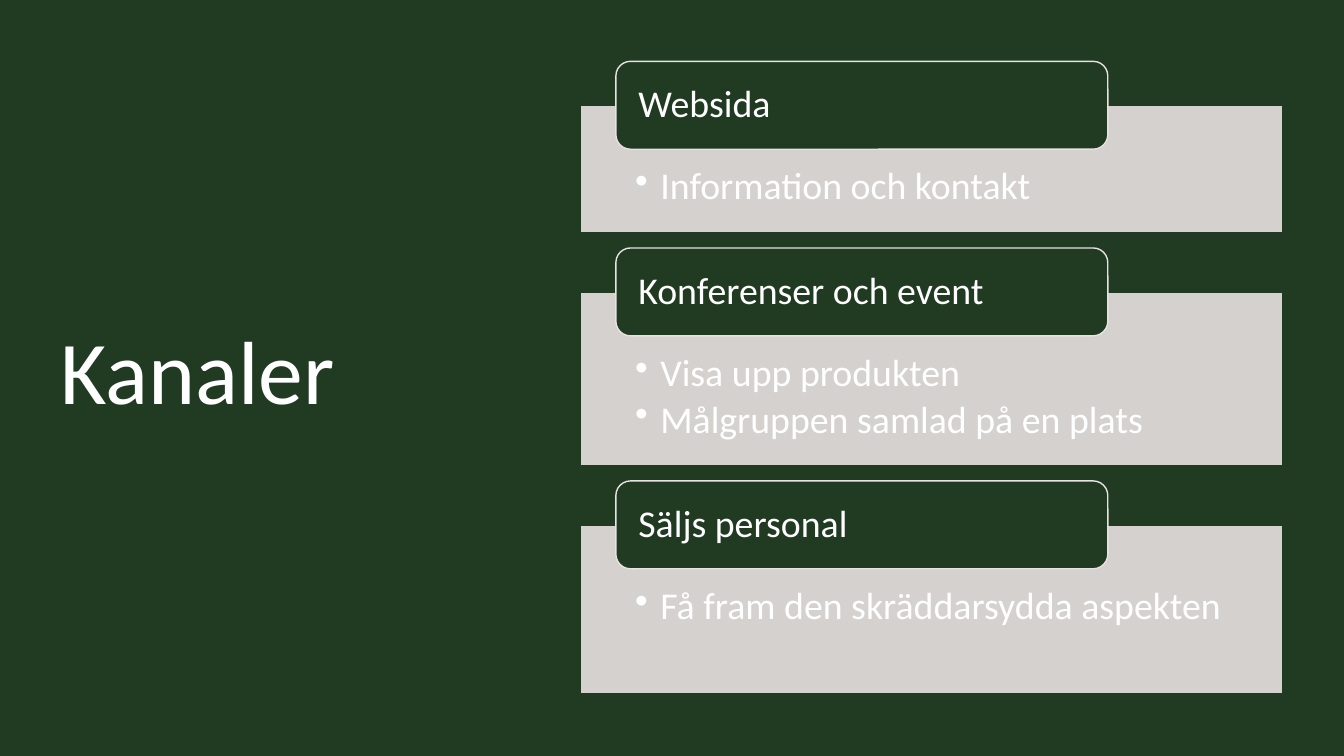
from lxml import etree
from pptx import Presentation
from pptx.dml.color import RGBColor
from pptx.enum.shapes import MSO_SHAPE as SHAPE
from pptx.enum.text import MSO_ANCHOR as ANCHOR, MSO_AUTO_SIZE as AUTO, PP_ALIGN as ALIGN
from pptx.oxml.ns import qn
from pptx.util import Pt

TITLE = "Kanaler"
CHANNELS = [  # label, panel height, bullets
    ("Websida", 90.7, ["Information och kontakt"]),
    ("Konferenser och event", 123.8, ["Visa upp produkten", "Målgruppen samlad på en plats"]),
    ("Säljs personal", 120.2, ["Få fram den skräddarsydda aspekten"]),
]

GREEN = RGBColor(0x21, 0x3A, 0x22)
SAND = RGBColor(0xE8, 0xE2, 0xE2)
WHITE = RGBColor(0xFF, 0xFF, 0xFF)

PANEL_LEFT, PANEL_TOP, PANEL_WIDTH, PANEL_GAP = 414.8, 75.6, 501.6, 42.6
LABEL_LEFT, LABEL_RISE, LABEL_WIDTH, LABEL_HEIGHT = 439.9, 31.8, 351.4, 62.8


def add_box(slide, kind, bounds, fill, line):
    sp = slide.shapes.add_shape(kind, *map(Pt, bounds))
    sp.shadow.inherit = False
    sp.fill.solid()
    sp.fill.fore_color.rgb = fill
    sp.line.color.rgb = line
    sp.line.width = Pt(1)
    return sp


def set_text(sp, lines, size, margins, anchor, spacing=0.9, after=0):
    """Write lines as left-aligned paragraphs; margins run left, top, right, bottom."""
    tf = sp.text_frame
    left, top, right, bottom = map(Pt, margins)
    frame = {"word_wrap": True, "auto_size": AUTO.NONE, "vertical_anchor": anchor,
             "margin_left": left, "margin_top": top,
             "margin_right": right, "margin_bottom": bottom}
    for name, value in frame.items():
        setattr(tf, name, value)
    tf.text = "\n".join(lines)
    for p in tf.paragraphs:
        p.alignment, p.line_spacing, p.space_after = ALIGN.LEFT, spacing, Pt(after)
        font = p.runs[0].font
        font.name, font.size, font.color.rgb = "Calibri", Pt(size), WHITE


def add_bullets(sp, indent):
    for p in sp.text_frame.paragraphs:
        p_pr = p._p.get_or_add_pPr()
        p_pr.set("marL", str(Pt(indent)))
        p_pr.set("indent", str(Pt(-indent)))
        etree.SubElement(p_pr, qn("a:buChar"), char="•")


def set_opacity(sp, percent):
    color = sp.fill._xPr.find(qn("a:solidFill"))[0]
    etree.SubElement(color, qn("a:alpha"), val=str(percent * 1000))


def main():
    prs = Presentation()
    prs.slide_width, prs.slide_height = Pt(960), Pt(540)
    slide = prs.slides.add_slide(prs.slide_layouts[5])
    slide.background.fill.solid()
    slide.background.fill.fore_color.rgb = GREEN

    title = slide.shapes.title
    title.left, title.top, title.width, title.height = map(Pt, (43.2, 119.5, 357.1, 297.4))
    set_text(title, [TITLE], 64, (0, 0, 0, 0), ANCHOR.MIDDLE)

    top = PANEL_TOP
    for label, height, bullets in CHANNELS:
        panel = add_box(slide, SHAPE.RECTANGLE, (PANEL_LEFT, top, PANEL_WIDTH, height), SAND, GREEN)
        set_opacity(panel, 90)
        set_text(panel, bullets, 27, (38.9, 43.9, 38.9, 15.1), ANCHOR.TOP, after=4)
        add_bullets(panel, 18)
        tab = add_box(slide, SHAPE.ROUNDED_RECTANGLE,
                      (LABEL_LEFT, top - LABEL_RISE, LABEL_WIDTH, LABEL_HEIGHT), GREEN, SAND)
        set_text(tab, [label], 27, (13, 0, 13, 0), ANCHOR.MIDDLE)
        top += height + PANEL_GAP

    prs.save("out.pptx")


if __name__ == "__main__":
    main()
